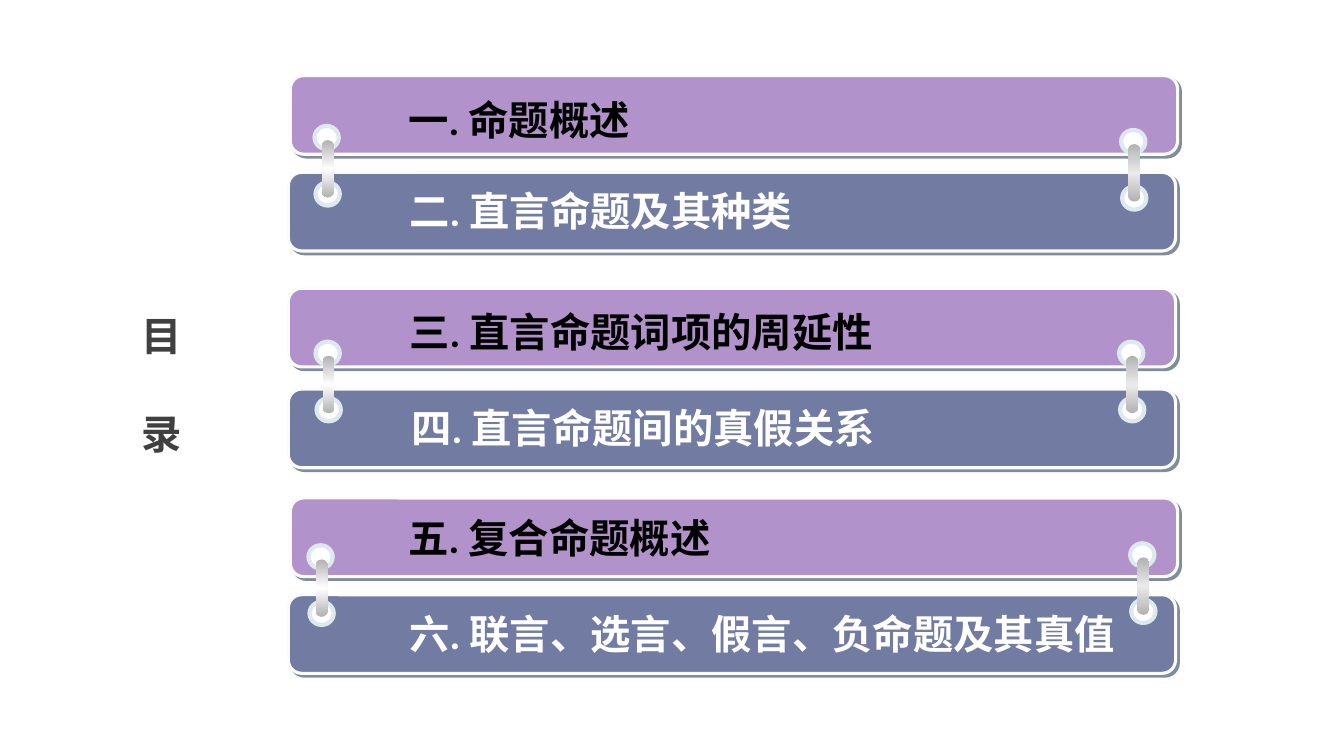
from copy import deepcopy
from lxml import etree
from pptx import Presentation
from pptx import util as u
from pptx.dml.color import RGBColor
from pptx.enum import shapes, text
from pptx.oxml import ns

PURPLE = RGBColor(0xB2, 0x92, 0xCA)
SLATE = RGBColor(0x72, 0x7C, 0xA3)
BLACK = RGBColor(0, 0, 0)
WHITE = RGBColor(255, 255, 255)
CHARCOAL = RGBColor(0x40, 0x40, 0x40)
BAR_EDGE = RGBColor(0xFC, 0xFC, 0xFC)
HOLE_EDGE = RGBColor(0xDD, 0xE9, 0xEC)
GREY = RGBColor(0xB2, 0xB2, 0xB2)
PALE = RGBColor(0xEA, 0xEA, 0xEA)
BAR_SHADOW = RGBColor(0, 0x1D, 0x3A)

TITLE = ("目", "录")
CHAPTERS = [
    ("一. 命题概述", (2.88, 0.75), (3.95, 0.89)),
    ("二. 直言命题及其种类", (2.86, 1.71), (3.96, 1.8)),
    ("三. 直言命题词项的周延性", (2.86, 2.86), (3.96, 3.0)),
    ("四. 直言命题间的真假关系", (2.86, 3.86), (3.98, 3.95)),
    ("五. 复合命题概述", (2.88, 4.94), (3.95, 5.04)),
    ("六. 联言、选言、假言、负命题及其真值", (2.86, 5.9), (3.96, 5.99)),
]
STYLES = [(PURPLE, BLACK), (SLATE, WHITE)]
RING_PAIRS = [
    ((3.12, 1.25), (11.12, 1.29)),
    ((3.13, 3.39), (11.1, 3.39)),
    ((3.06, 5.41), (11.21, 5.39)),
]
BAR_SIZE = (8.8, 0.78)
TEXT_SIZE = (7.39, 0.59)
HOLE_SIZE = (0.24, 0.23)
HOLE_OFFSETS = [(0, 0), (0.01, 0.56)]
PIN_OFFSET, PIN_SIZE = (0.07, 0.14), (0.12, 0.57)
FONT_SIZE = u.Pt(28.8)


def apply(target, **values):
    for name, value in values.items():
        setattr(target, name, value)


def inches(*values):
    return [u.Inches(value) for value in values]


def add_shadow(parent, color, blur, distance, alpha):
    shadow = etree.SubElement(parent, ns.qn("a:outerShdw"), blurRad=str(u.Pt(blur)),
                              dist=str(u.Pt(distance)), dir="2700000", algn="ctr", rotWithShape="0")
    rgb = etree.SubElement(shadow, ns.qn("a:srgbClr"), val=str(color))
    etree.SubElement(rgb, ns.qn("a:alpha"), val=str(alpha * 1000))


def add_preset(container, kind, position, size, fill=None, edge=None, width=0, corner=None):
    shape = container.add_shape(kind, *inches(*position, *size))
    if fill is not None:
        shape.fill.solid()
        shape.fill.fore_color.rgb = fill
    if edge is None:
        shape.line.fill.background()
    else:
        shape.line.color.rgb = edge
        shape.line.width = u.Pt(width)
    if corner is not None:
        shape.adjustments[0] = corner
    shape.shadow.inherit = False
    return shape


def format_run(run, latin, color):
    apply(run.font, name=latin, size=FONT_SIZE, bold=True)
    run.font.color.rgb = color
    latin_element = run.font._element.find(ns.qn("a:latin"))
    east_asian = etree.Element(ns.qn("a:ea"), typeface="Calibri")
    latin_element.addnext(east_asian)
    return latin_element


def prepare_frame(frame):
    apply(frame, word_wrap=True, auto_size=text.MSO_AUTO_SIZE.NONE,
          vertical_anchor=text.MSO_ANCHOR.TOP)


def add_title(slide):
    title = slide.shapes.title
    apply(title, **dict(zip(("left", "top", "width", "height"), inches(1.3, 3.04, 0.57, 1.57))))
    frame = title.text_frame
    prepare_frame(frame)
    frame.text = "\n".join(TITLE)
    for index, paragraph in enumerate(frame.paragraphs):
        apply(paragraph, alignment=text.PP_ALIGN.LEFT, space_before=u.Pt(35 * index))
        format_run(paragraph.runs[0], "Noto Sans CJK SC", CHARCOAL)


def add_chapter(slide, label, bar_position, text_position, fill, ink):
    bar = add_preset(slide.shapes, shapes.MSO_SHAPE.ROUNDED_RECTANGLE, bar_position,
                     BAR_SIZE, fill, BAR_EDGE, 2.25, 0.17)
    add_shadow(bar._element.spPr.find(ns.qn("a:effectLst")), BAR_SHADOW, 0, 2.8, 50)
    box = slide.shapes.add_textbox(*inches(*text_position, *TEXT_SIZE))
    prepare_frame(box.text_frame)
    run = box.text_frame.paragraphs[0].add_run()
    run.text = label
    latin_element = format_run(run, "Calibri", ink)
    effects = etree.Element(ns.qn("a:effectLst"))
    latin_element.addprevious(effects)
    add_shadow(effects, BLACK, 3, 3, 100)


def add_ring(slide, x, y, shine):
    ring = slide.shapes.add_group_shape().shapes
    for dx, dy in HOLE_OFFSETS:
        add_preset(ring, shapes.MSO_SHAPE.OVAL, (x + dx, y + dy), HOLE_SIZE, WHITE, HOLE_EDGE, 3)
    pin = add_preset(ring, shapes.MSO_SHAPE.ROUNDED_RECTANGLE,
                     (x + PIN_OFFSET[0], y + PIN_OFFSET[1]), PIN_SIZE, corner=0.5)
    pin.fill.gradient()
    pin.fill.gradient_angle = 90
    stops = pin._element.spPr.find(ns.qn("a:gradFill")).find(ns.qn("a:gsLst"))
    stops.insert(1, deepcopy(stops[0]))
    for stop, position, color in zip(pin.fill.gradient_stops, (0, 0.5, 1), (GREY, shine, GREY)):
        stop.position = position
        stop.color.rgb = color


presentation = Presentation()
apply(presentation, slide_width=u.Inches(13.33), slide_height=u.Inches(7.5))
slide = presentation.slides.add_slide(presentation.slide_layouts[5])
add_title(slide)
for index, chapter in enumerate(CHAPTERS):
    add_chapter(slide, *chapter, *STYLES[index % 2])
for pair in RING_PAIRS:
    for (x, y), shine in zip(pair, (WHITE, PALE)):
        add_ring(slide, x, y, shine)
presentation.save("out.pptx")
